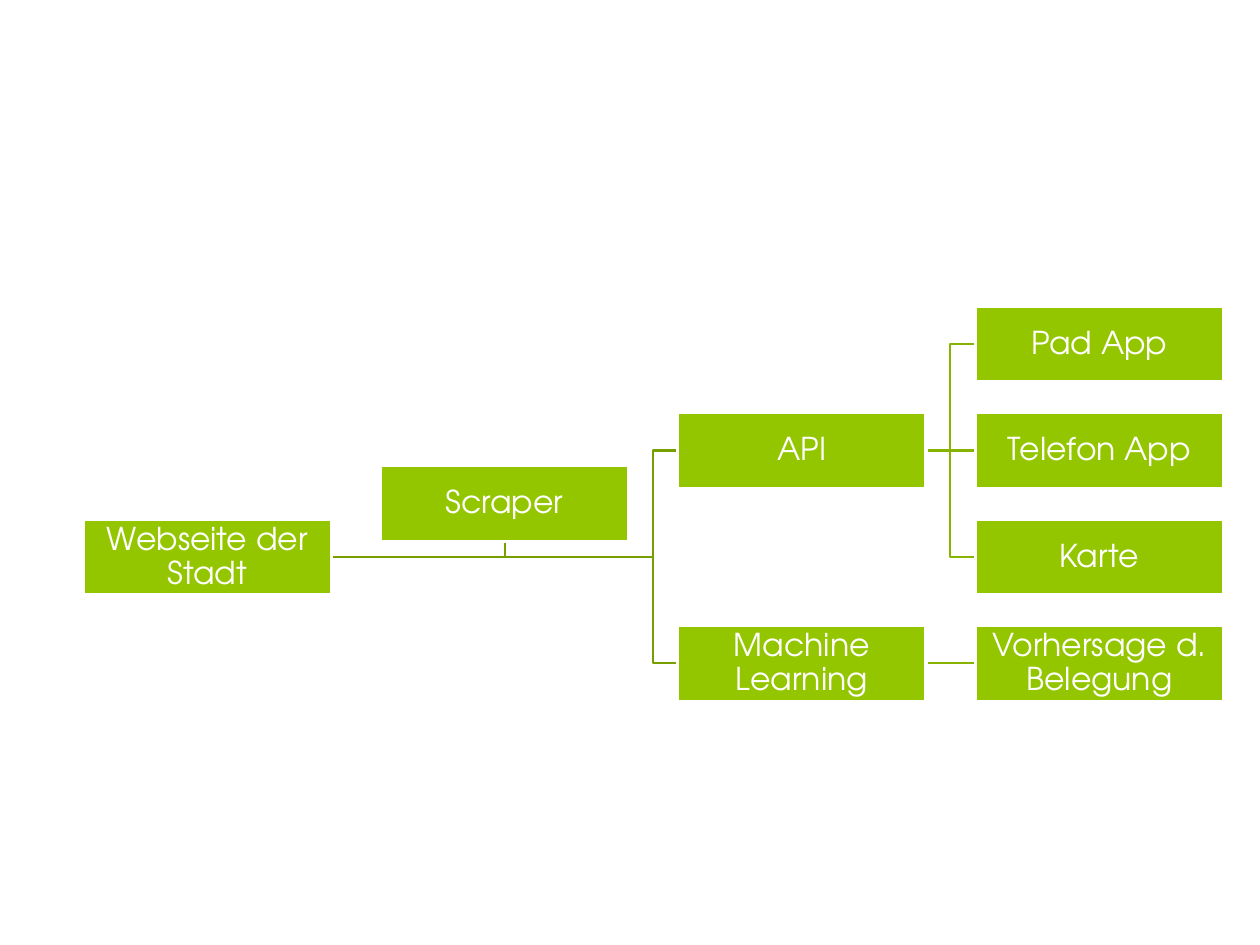
from pptx import Presentation
from pptx.dml.color import RGBColor
from pptx.enum.shapes import MSO_CONNECTOR, MSO_SHAPE
from pptx.enum.text import MSO_ANCHOR, PP_ALIGN
from pptx.util import Inches, Pt
from lxml.etree import SubElement
from pptx.oxml.ns import qn

THEME = {
    "box": RGBColor.from_string("94C600"),
    "white": RGBColor.from_string("FFFFFF"),
    "dark": RGBColor.from_string("779F00"),
    "light": RGBColor.from_string("86B400"),
    "font": "TeX Gyre Adventor",
    "size": Pt(18),
    "border": Pt(1.75),
    "link": Pt(1.25),
}
LEFT, TOP = 0.66, 2.43
WIDE, HIGH = 1.97, 0.6
COL, ROW = 2.36, 0.845
BEND = 0.2

# label: (column, row)
BOXES = {
    "Webseite der Stadt": (0, 2),
    "API": (2, 1),
    "Pad App": (3, 0),
    "Telefon App": (3, 1),
    "Karte": (3, 2),
    "Machine Learning": (2, 3),
    "Vorhersage d. Belegung": (3, 3),
    "Scraper": (1, 1.5),
}
LINKS = [
    ("Machine Learning", "Vorhersage d. Belegung", "light"),
    ("Webseite der Stadt", "Machine Learning", "dark"),
    ("API", "Karte", "light"),
    ("API", "Telefon App", "light"),
    ("API", "Pad App", "light"),
    ("Webseite der Stadt", "API", "dark"),
]

prs = Presentation()
prs.slide_width, prs.slide_height = Inches(10), Inches(7.5)
slide = prs.slides.add_slide(prs.slide_layouts[6])
shapes = slide.shapes


def corner(label):
    """Return the left and top of a box in inches."""
    col, row = BOXES[label]
    return LEFT + col * COL, TOP + row * ROW


def draw_line(points, color):
    """Draw a straight connector or a bent open line."""
    spots = [(Inches(x), Inches(y)) for x, y in points]
    if len(spots) == 2:
        line = shapes.add_connector(MSO_CONNECTOR.STRAIGHT, *spots[0], *spots[1])
        SubElement(line._element.spPr, qn("a:effectLst"))
    else:
        path = shapes.build_freeform(*spots[0], scale=1.0)
        path.add_line_segments(spots[1:], close=False)
        line = path.convert_to_shape()
        line.fill.background()
        line.shadow.inherit = False
    line.line.color.rgb = THEME[color]
    line.line.width = THEME["link"]


# Side branch to the scraper
x, y = corner("Webseite der Stadt")
side, drop = corner("Scraper")
mid = side + WIDE / 2
draw_line([(x + WIDE, y + HIGH / 2), (mid, y + HIGH / 2), (mid, drop + HIGH)], "dark")

for start, end, color in LINKS:
    (x1, y1), (x2, y2) = corner(start), corner(end)
    x1, y1, y2 = x1 + WIDE, y1 + HIGH / 2, y2 + HIGH / 2
    bend = [] if y1 == y2 else [(x2 - BEND, y1), (x2 - BEND, y2)]
    draw_line([(x1, y1), *bend, (x2, y2)], color)

FRAME = {
    "word_wrap": True,
    "vertical_anchor": MSO_ANCHOR.MIDDLE,
    "margin_left": Inches(0.01),
    "margin_right": Inches(0.01),
    "margin_top": Inches(0.01),
    "margin_bottom": Inches(0.01),
}
for label in BOXES:
    x, y = corner(label)
    box = shapes.add_shape(
        MSO_SHAPE.RECTANGLE, Inches(x), Inches(y), Inches(WIDE), Inches(HIGH))
    box.shadow.inherit = False
    box.fill.solid()
    box.fill.fore_color.rgb = THEME["box"]
    box.line.color.rgb = THEME["white"]
    box.line.width = THEME["border"]
    frame = box.text_frame
    for name, value in FRAME.items():
        setattr(frame, name, value)
    para = frame.paragraphs[0]
    para.alignment = PP_ALIGN.CENTER
    para.line_spacing = 0.9
    run = para.add_run()
    run.text = label
    run.font.name = THEME["font"]
    run.font.size = THEME["size"]
    run.font.color.rgb = THEME["white"]

prs.save("out.pptx")
